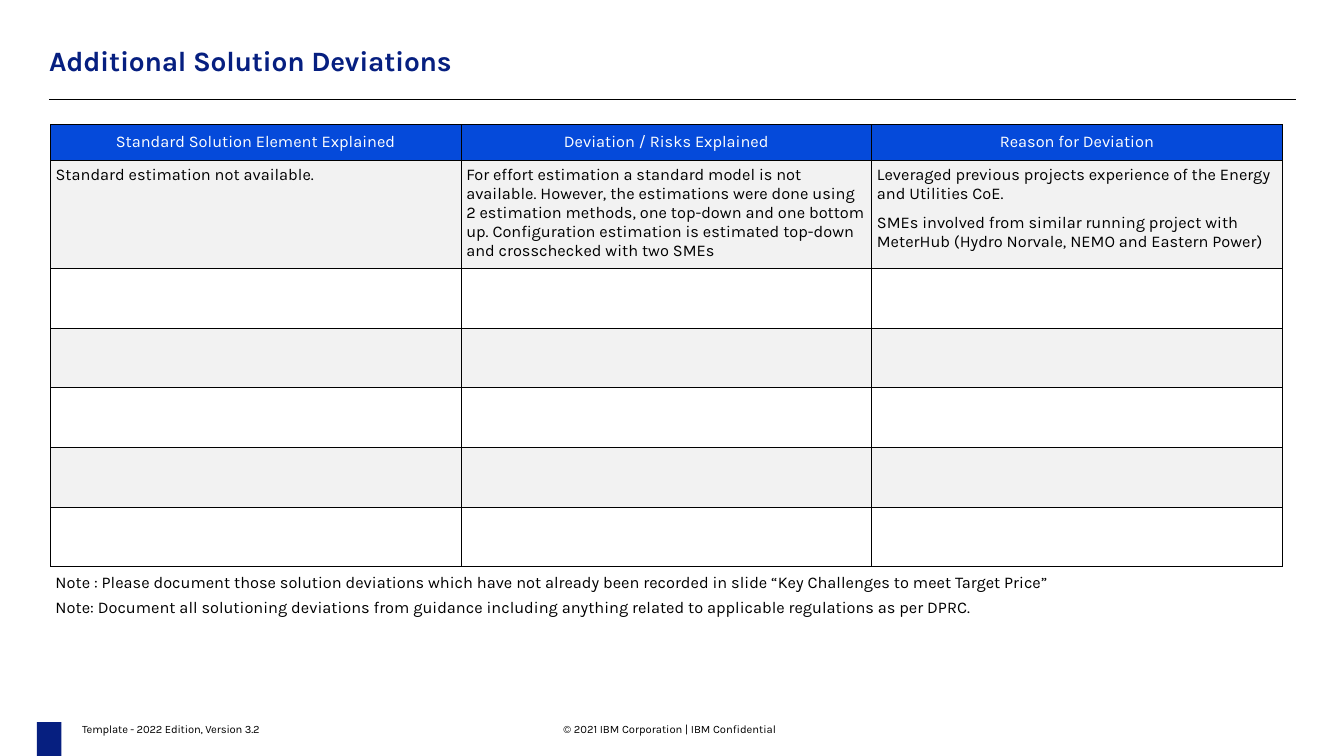
from lxml import etree
from pptx import Presentation
from pptx.dml.color import RGBColor
from pptx.enum.shapes import MSO_CONNECTOR, MSO_SHAPE
from pptx.enum.text import MSO_ANCHOR, MSO_AUTO_SIZE, PP_ALIGN
from pptx.oxml import parse_xml
from pptx.oxml.ns import nsdecls, qn
from pptx.util import Pt

NAVY = RGBColor(0x06, 0x1F, 0x80)
BLUE = RGBColor(0x05, 0x4A, 0xDA)
GREY = RGBColor(0xF2, 0xF2, 0xF2)
WHITE = RGBColor(0xFF, 0xFF, 0xFF)
BLACK = RGBColor(0x00, 0x00, 0x00)
FONT = "Karla"

HEADERS = [
    "Standard Solution Element Explained",
    "Deviation / Risks Explained",
    "Reason for Deviation",
]
DEVIATION = [
    ["Standard estimation not available."],
    [
        "For effort estimation a standard model is not available. However, the "
        "estimations were done using 2 estimation methods, one top-down and one "
        "bottom up. Configuration estimation is estimated top-down and "
        "crosschecked with two SMEs"
    ],
    [
        "Leveraged previous projects experience of the Energy and Utilities CoE.",
        "SMEs involved from similar running project with "
        "MeterHub (Hydro Norvale, NEMO and Eastern Power)",
    ],
]
NOTES = [
    "Note : Please document those solution deviations which have not already "
    "been recorded in slide “Key Challenges to meet Target Price”",
    "Note: Document all solutioning deviations from guidance including anything "
    "related to applicable regulations as per DPRC.",
]
ROW_HEIGHTS = [31, 92.6] + [51.1] * 5


def write(frame, lines, size, color, gap=0, align=PP_ALIGN.LEFT, bold=False, spacing=0):
    """Fill a text frame; gap separates paragraphs, spacing is between letters."""
    for index, line in enumerate(lines):
        paragraph = frame.paragraphs[0] if index == 0 else frame.add_paragraph()
        paragraph.alignment = align
        paragraph.space_before = Pt(gap if index else 0)
        run = paragraph.add_run()
        run.text = line
        font = run.font
        font.name, font.size, font.bold = FONT, Pt(size), bold
        font.color.rgb = color
        if spacing:
            font._element.set("spc", str(round(spacing * 100)))


def set_margins(box, left, top, right, bottom):
    box.margin_left, box.margin_top = Pt(left), Pt(top)
    box.margin_right, box.margin_bottom = Pt(right), Pt(bottom)


presentation = Presentation()
presentation.slide_width, presentation.slide_height = Pt(1152), Pt(648)
slide = presentation.slides.add_slide(presentation.slide_layouts[5])

# Footer marker and title
marker = slide.shapes.add_shape(MSO_SHAPE.RECTANGLE, Pt(31.7), Pt(619), Pt(20.9), Pt(29))
marker.shadow.inherit = False
marker.fill.solid()
marker.fill.fore_color.rgb = NAVY
marker.line.fill.background()

title = slide.shapes.title
title.left, title.top, title.width, title.height = Pt(42), Pt(34.6), Pt(1067), Pt(30.2)
title_frame = title.text_frame
title_frame.auto_size = MSO_AUTO_SIZE.NONE
title_frame.vertical_anchor = MSO_ANCHOR.TOP
set_margins(title_frame, 0, 2.6, 0, 0)
write(title_frame, ["Additional Solution Deviations"], 24, NAVY, bold=True, spacing=-0.2)

rule = slide.shapes.add_connector(MSO_CONNECTOR.STRAIGHT, Pt(42), Pt(85.4), Pt(1111), Pt(85.4))
rule.line.color.rgb = BLACK
rule.line.width = Pt(1)
etree.SubElement(rule._element.spPr, qn("a:effectLst"))

# Deviation table
table = slide.shapes.add_table(
    len(ROW_HEIGHTS), len(HEADERS), Pt(43.2), Pt(106.6), Pt(1056), Pt(sum(ROW_HEIGHTS))
).table
for column in table.columns:
    column.width = Pt(352)
for row_index, height in enumerate(ROW_HEIGHTS):
    table.rows[row_index].height = Pt(height)
    for column_index, header in enumerate(HEADERS):
        cell = table.cell(row_index, column_index)
        set_margins(cell, 4.5, 4.5, 4.5, 4.5)
        properties = cell._tc.get_or_add_tcPr()
        for edge in ("lnL", "lnR", "lnT", "lnB"):
            properties.append(parse_xml(
                f'<a:{edge} {nsdecls("a")} w="6350"><a:solidFill>'
                f'<a:srgbClr val="{BLACK}"/></a:solidFill></a:{edge}>'
            ))
        cell.fill.solid()
        if row_index == 0:
            cell.fill.fore_color.rgb = BLUE
            cell.vertical_anchor = MSO_ANCHOR.MIDDLE
            write(cell.text_frame, [header], 14, WHITE, align=PP_ALIGN.CENTER)
        else:
            cell.fill.fore_color.rgb = GREY if row_index % 2 else WHITE
        if row_index == 1:
            write(cell.text_frame, DEVIATION[column_index], 14, BLACK, gap=8)

# Notes and footer: lines, left, top, width, height, size, gap, spacing, margins
TEXT_BOXES = [
    (NOTES, 40.5, 486.7, 1027.5, 46, 14, 5, 0, (7.2, 3.6, 7.2, 3.6)),
    (["© 2021 IBM Corporation | IBM Confidential"],
     483, 617.8, 187, 13, 9.6, 0, 0, (0, 1, 0, 0)),
    (["Template - 2022 Edition, Version 3.2"],
     70.4, 617.8, 166, 13, 9.6, 0, -0.1, (0, 1, 0, 0)),
]
for lines, left, top, width, height, size, gap, spacing, margins in TEXT_BOXES:
    frame = slide.shapes.add_textbox(Pt(left), Pt(top), Pt(width), Pt(height)).text_frame
    frame.word_wrap = True
    set_margins(frame, *margins)
    write(frame, lines, size, BLACK, gap=gap, spacing=spacing)

presentation.save("out.pptx")
